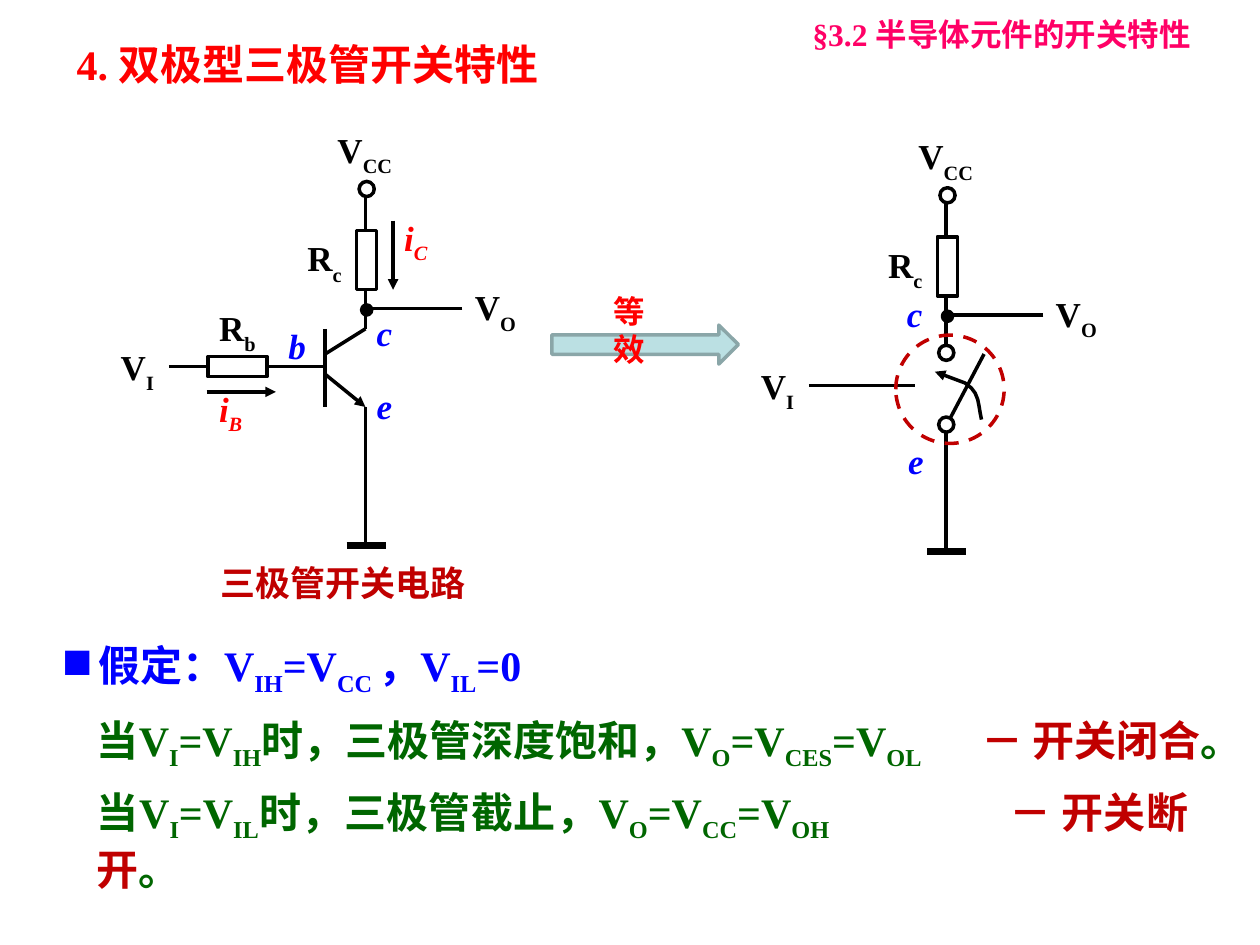
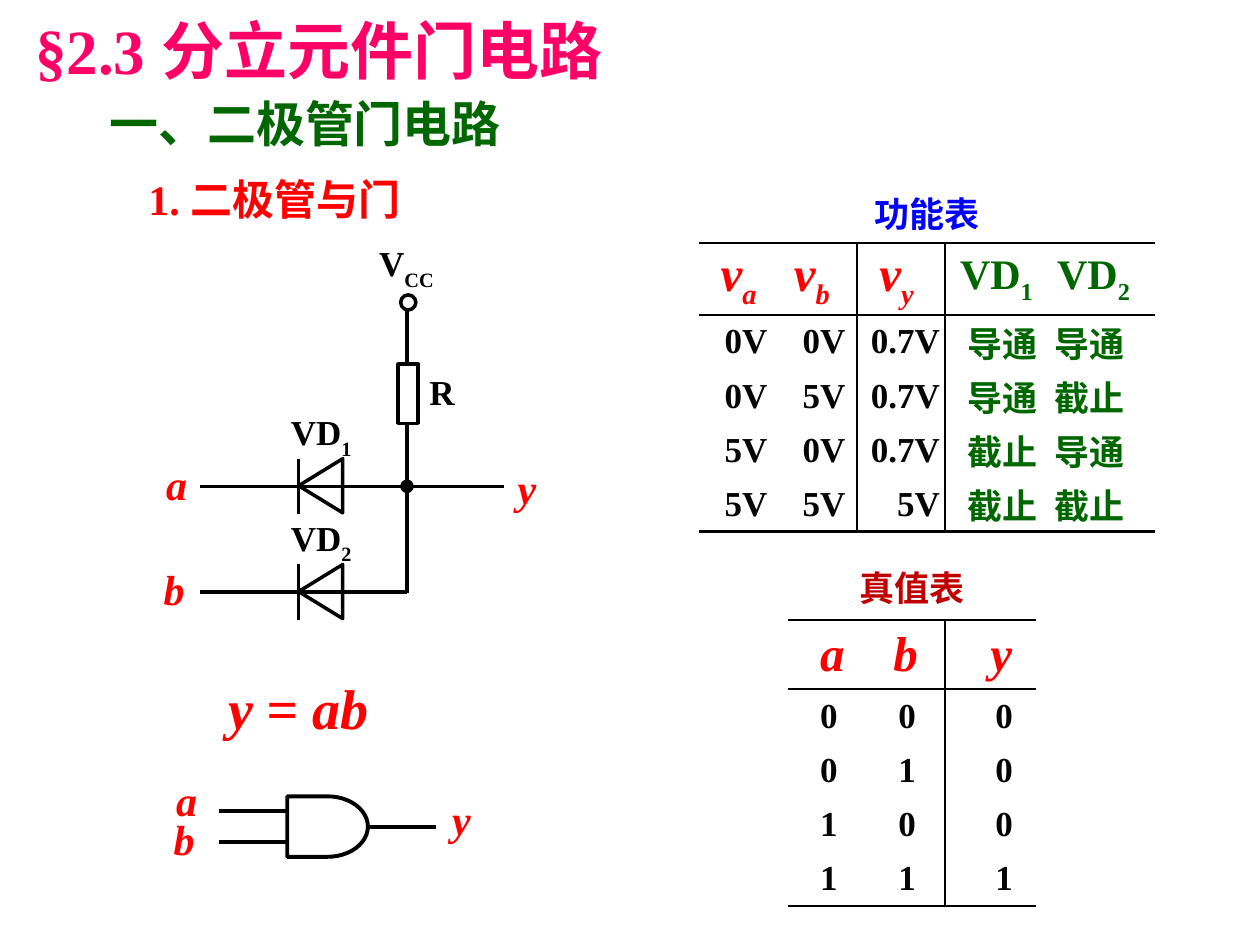
from lxml.etree import SubElement
from pptx import Presentation
from pptx.dml.color import RGBColor
from pptx.enum.dml import MSO_LINE
from pptx.enum.shapes import MSO_CONNECTOR, MSO_SHAPE
from pptx.enum.text import MSO_ANCHOR, MSO_AUTO_SIZE, PP_ALIGN
from pptx.oxml.ns import qn
from pptx.util import Pt

PX = 9144  # EMU in one px, 100 px to the inch
BLACK = RGBColor(0, 0, 0)
INK = RGBColor(4, 4, 4)
WHITE = RGBColor(255, 255, 255)
RED = RGBColor(255, 0, 0)
BRICK = RGBColor(192, 0, 0)
GREEN = RGBColor(0, 102, 0)
BLUE = RGBColor(0, 0, 255)
PINK = RGBColor(255, 0, 102)
TEAL = RGBColor(187, 224, 227)
SLATE = RGBColor(138, 166, 168)
SERIF, SANS, HAN = "Times New Roman", "Arial", "Noto Sans CJK SC"

STRAIGHT = MSO_CONNECTOR.STRAIGHT
OVAL, RECT = MSO_SHAPE.OVAL, MSO_SHAPE.RECTANGLE
ARROW, DELAY = MSO_SHAPE.RIGHT_ARROW, MSO_SHAPE.FLOWCHART_DELAY
TRI = MSO_SHAPE.ISOSCELES_TRIANGLE
DASH = MSO_LINE.DASH
MIDDLE = MSO_ANCHOR.MIDDLE
GROW = MSO_AUTO_SIZE.SHAPE_TO_FIT_TEXT
LEFT, RIGHT, JUSTIFY = PP_ALIGN.LEFT, PP_ALIGN.RIGHT, PP_ALIGN.JUSTIFY


def write(para, text, size=20, color=BLACK, font=SERIF, italic=False, sub=-30):
    """Add bold runs; every second part between bars is a subscript."""
    for i, part in enumerate(text.split("|")):
        if not part:
            continue
        run = para.add_run()
        run.text = part
        run.font.size = Pt(size)
        run.font.bold = True
        run.font.italic = italic
        run.font.color.rgb = color
        run.font.name = font
        props = run._r.get_or_add_rPr()
        SubElement(props, qn("a:ea"), typeface=HAN)
        if i % 2:
            props.set("baseline", str(sub * 1000))


class Deck:
    """Holds the style and the current slide."""

    def __init__(self):
        self.prs = Presentation()
        self.prs.slide_width = 1000 * PX
        self.prs.slide_height = 750 * PX

    def page(self):
        blank = self.prs.slide_layouts[6]
        self.shapes = self.prs.slides.add_slide(blank).shapes

    def text(self, x, y, w, h, text, wrap=False, mid=False, align=None,
             hang=0, bullet=None, tab=0, inset=10, **fmt):
        box = self.shapes.add_textbox(x * PX, y * PX, w * PX, h * PX)
        frame = box.text_frame
        frame.word_wrap = wrap
        frame.margin_left = frame.margin_right = inset * PX
        if mid:
            frame.vertical_anchor = MIDDLE
        else:
            frame.auto_size = GROW
        para = frame.paragraphs[0]
        if align is not None:
            para.alignment = align
        props = para._p.get_or_add_pPr()
        if hang:
            props.set("marL", str(hang * PX))
            props.set("indent", str(-hang * PX))
        if bullet:
            SubElement(props, qn("a:buChar"), char=bullet)
        if tab:
            tabs = SubElement(props, qn("a:tabLst"))
            SubElement(tabs, qn("a:tab"), pos=str(tab * PX), algn="l")
        write(para, text, **fmt)
        return para

    def wire(self, x1, y1, x2, y2, width=2, tip=False):
        line = self.shapes.add_connector(
            STRAIGHT, x1 * PX, y1 * PX, x2 * PX, y2 * PX)
        line.line.color.rgb = BLACK
        line.line.width = Pt(width)
        if tip:
            self.tip(line)
        SubElement(line.element.spPr, qn("a:effectLst"))
        return line

    def tip(self, shape):
        ln = shape.element.spPr.find(qn("a:ln"))
        SubElement(ln, qn("a:tailEnd"), type="triangle")

    def paint(self, shape, fill=None, color=BLACK, width=2, dash=None):
        shape.shadow.inherit = False
        if fill is None:
            shape.fill.background()
        else:
            shape.fill.solid()
            shape.fill.fore_color.rgb = fill
        shape.line.color.rgb = color
        shape.line.width = Pt(width)
        if dash:
            shape.line.dash_style = dash
        return shape

    def shape(self, kind, x, y, w, h, **look):
        item = self.shapes.add_shape(kind, x * PX, y * PX, w * PX, h * PX)
        return self.paint(item, **look)

    def curve(self, start, *bends):
        """Draw joined cubic curves that end in an arrowhead."""
        pts, p = [], start
        for a, b, c in bends:
            for i in range(1, 6):
                t = i / 5
                u = 1 - t
                pts.append(tuple(
                    u**3 * p[k] + 3 * u * u * t * a[k]
                    + 3 * u * t * t * b[k] + t**3 * c[k] for k in (0, 1)))
            p = c
        path = self.shapes.build_freeform(*start, scale=PX)
        path.add_line_segments(pts, close=False)
        self.tip(self.paint(path.convert_to_shape()))

    # Circuit parts
    def ring(self, x, y):
        self.shape(OVAL, x, y, 12, 12, fill=WHITE)

    def dot(self, x, y):
        self.shape(OVAL, x, y, 8, 8, fill=BLACK)

    def load(self, x, y, gap):
        """Supply label, terminal and resistor on the wire at x."""
        self.text(x - 32, y - 47, 68, 44, "V|CC|")
        self.ring(x - 5, y)
        self.shape(RECT, x - 7, y + gap, 16, 47, fill=WHITE)

    def stage(self, x, y, upper, lower):
        """Collector branch, output and ground of a switch."""
        self.wire(x, y + 8, x, upper)
        self.wire(x, lower, x, y + 289)
        self.wire(x - 15, y + 289, x + 16, y + 289, width=4)
        self.load(x, y, 39)
        self.text(x - 56, y + 39, 49, 44, "R|c|")
        self.wire(x + 77, y + 101, x - 2, y + 101)
        self.dot(x - 3, y + 98)
        self.text(x + 77, y + 78, 55, 44, "V|O|")

    def diode(self, y, name):
        self.wire(237, y - 22, 237, y + 22)
        self.shape(TRI, 233, y - 18, 43, 35).rotation = 270
        self.text(221, y - 65, 70, 44, name)

    # Tables with ruled lines
    def table(self, x, y, cols, head, rows, rules):
        """Each column is (width, head inset, body inset, head format, body
        format); a negative inset aligns right. Rules maps edge to width."""
        count = len(rows)
        grid = self.shapes.add_table(
            count + 1, len(cols), x * PX, y * PX,
            sum(col[0] for col in cols) * PX, (head[0] + 43 * count) * PX).table
        grid.first_row = grid.horz_banding = False
        for c, (width, *_) in enumerate(cols):
            grid.columns[c].width = width * PX
        flat = {0: 1.5, 1: 1.5, count + 1: 1.5}
        for r, row in enumerate([head[1], *rows]):
            grid.rows[r].height = (43 if r else head[0]) * PX
            for c, text in enumerate(row):
                inset, fmt = cols[c][2::2] if r else cols[c][1::2]
                cell = grid.cell(r, c)
                cell.margin_top = cell.margin_bottom = 0
                cell.margin_left = max(inset, 0) * PX
                cell.margin_right = max(-inset, 0) * PX
                cell.vertical_anchor = MIDDLE
                para = cell.text_frame.paragraphs[0]
                para.alignment = RIGHT if inset < 0 else LEFT
                write(para, text, **fmt)
                self.edges(cell, lnL=rules.get(c), lnR=rules.get(c + 1),
                           lnT=flat.get(r), lnB=flat.get(r + 1))
                cell.fill.background()

    def edges(self, cell, **sides):
        props = cell._tc.get_or_add_tcPr()
        for side, width in sides.items():
            ln = SubElement(props, qn("a:" + side), w=str(Pt(width or 0)))
            if width:
                fill = SubElement(ln, qn("a:solidFill"))
                SubElement(fill, qn("a:srgbClr"), val=str(BLACK))
            else:
                SubElement(ln, qn("a:noFill"))


def switch(deck):
    deck.page()
    deck.text(51, 23, 449, 55, "4. 双极型三极管开关特性",
              wrap=True, mid=True, size=24, color=RED)
    deck.text(635, 7, 358, 40, "§3.2 半导体元件的开关特性",
              wrap=True, size=18, color=PINK)

    # Transistor circuit
    deck.stage(290, 144, 261, 323)
    deck.wire(258, 261, 258, 323)
    deck.wire(290, 261, 258, 281)
    deck.wire(258, 297, 290, 323, tip=True)
    deck.wire(134, 291, 259, 291)
    deck.shape(RECT, 165, 283, 47, 16, fill=WHITE)
    deck.wire(164, 311, 219, 311, tip=True)
    deck.wire(312, 175, 312, 230, tip=True)
    for x, y, name in ((164, 303, "i|B|"), (311, 167, "i|C|")):
        deck.text(x, y, 40, 44, name, color=RED, italic=True, sub=-25)
    deck.text(164, 238, 51, 44, "R|b|")
    deck.text(165, 441, 218, 44, "三极管开关电路", align=JUSTIFY, color=BRICK)

    # Equivalent switch
    deck.shape(ARROW, 438, 258, 148, 31, fill=TEAL, color=SLATE)
    deck.text(477, 227, 54, 40, "等效", wrap=True, size=18, color=RED)
    deck.stage(751, 149, 281, 343)
    deck.wire(781, 281, 752, 336)
    deck.wire(642, 306, 726, 306)
    deck.ring(745, 274)
    deck.ring(745, 331)
    deck.shape(OVAL, 711, 266, 86, 86, color=BRICK, dash=DASH)
    deck.curve((779, 333), ((778, 324), (777, 315), (771, 308)),
               ((765, 302), (742, 295), (742, 295)))

    # Input and pin labels
    for x, y in ((86, 269), (594, 284)):
        deck.text(x, y, 48, 44, "V|I|")
    for x, y, name in ((289, 242, "c"), (289, 300, "e"), (219, 253, "b"),
                       (710, 227, "c"), (711, 344, "e")):
        deck.text(x, y, 33, 44, name, color=BLUE, italic=True)

    # Conclusions
    deck.text(39, 503, 503, 51, "假定：V|IH|=V|CC |，V|IL|=0", wrap=True,
              hang=29, bullet="■", size=24, color=BLUE, sub=-25)
    closed = deck.text(
        67, 562, 926, 51, "当V|I|=V|IH|时，三极管深度饱和，V|O|=V|CES|=V|OL|\t",
        tab=702, size=24, color=GREEN, sub=-25)
    opened = deck.text(
        67, 619, 886, 51, "当V|I|=V|IL|时，三极管截止，V|O|=V|CC|=V|OH|\t",
        wrap=True, align=JUSTIFY, tab=721, size=24, color=GREEN, sub=-25)
    for para, state in ((closed, "－ 开关闭合"), (opened, "－ 开关断开")):
        write(para, state, size=24, color=BRICK)
        write(para, "。", size=24, color=GREEN)


def gate(deck):
    pin = dict(size=24, color=RED, italic=True)
    deck.page()
    title = deck.text(18, 4, 622, 71, "§2.3 ", wrap=True, size=36, color=PINK)
    write(title, "分立元件门电路", size=36, color=PINK, font=HAN)
    deck.text(77, 70, 386, 55, "一、二极管门电路", wrap=True, mid=True,
              size=28, color=GREEN, font=SANS)
    topic = deck.text(108, 133, 223, 51, "1. ", wrap=True, hang=38,
                      size=24, color=RED)
    write(topic, "二极管与门", size=24, color=RED, font=SANS)

    # Diode circuit
    deck.wire(323, 242, 323, 471)
    deck.load(323, 234, 55)
    deck.text(331, 289, 48, 44, "R")
    deck.wire(400, 386, 159, 386)
    deck.wire(323, 470, 159, 470)
    deck.dot(319, 382)
    deck.diode(386, "VD|1|")
    deck.diode(470, "VD|2|")

    # Formula and gate symbol
    deck.text(181, 530, 142, 63, "y = ab", wrap=True, inset=0,
              size=32, color=RED, italic=True)
    body = deck.shape(DELAY, 228, 632, 64, 48, width=2.25)
    out = deck.wire(292, 656, 346, 656, width=2.25)
    out.begin_connect(body, 3)
    for y in (644, 668):
        deck.wire(174, y, 228, y, width=2.25)
    for x, y, name in ((122, 359, "a"), (401, 362, "y"), (120, 442, "b"),
                       (349, 625, "y"), (130, 610, "a"), (128, 641, "b")):
        deck.text(x, y, 37, 50, name, **pin)

    # Function table
    var = dict(size=28, color=RED, italic=True, sub=-25)
    part = dict(size=24, color=GREEN, sub=-25)
    num = dict(color=INK)
    state = dict(color=GREEN, font=SANS)
    on, off = "导通", "截止"
    deck.text(684, 148, 105, 44, "功能表", color=BLUE)
    deck.table(
        555, 193,
        [(65, 17, 20, var, num), (60, 10, 17, var, num),
         (70, 18, -4, var, num), (80, 12, 18, part, state),
         (87, 9, 7, part, state)],
        (57, ["v|a|", "v|b|", "v|y|", "VD|1|", "VD|2|"]),
        [["0V", "0V", "0.7V", on, on], ["0V", "5V", "0.7V", on, off],
         ["5V", "0V", "0.7V", off, on], ["5V", "5V", "5V", off, off]],
        {2: 1, 3: 1.5})

    # Truth table
    deck.text(672, 445, 105, 44, "真值表", color=BRICK)
    deck.table(
        625, 492,
        [(67, 26, 26, var, num), (58, 17, 21, var, num),
         (72, 36, 40, var, num)],
        (55, ["a", "b", "y"]),
        [[str(a), str(b), str(a & b)] for a in (0, 1) for b in (0, 1)],
        {2: 1})


def main():
    deck = Deck()
    switch(deck)
    gate(deck)
    deck.prs.save("out.pptx")


if __name__ == "__main__":
    main()
